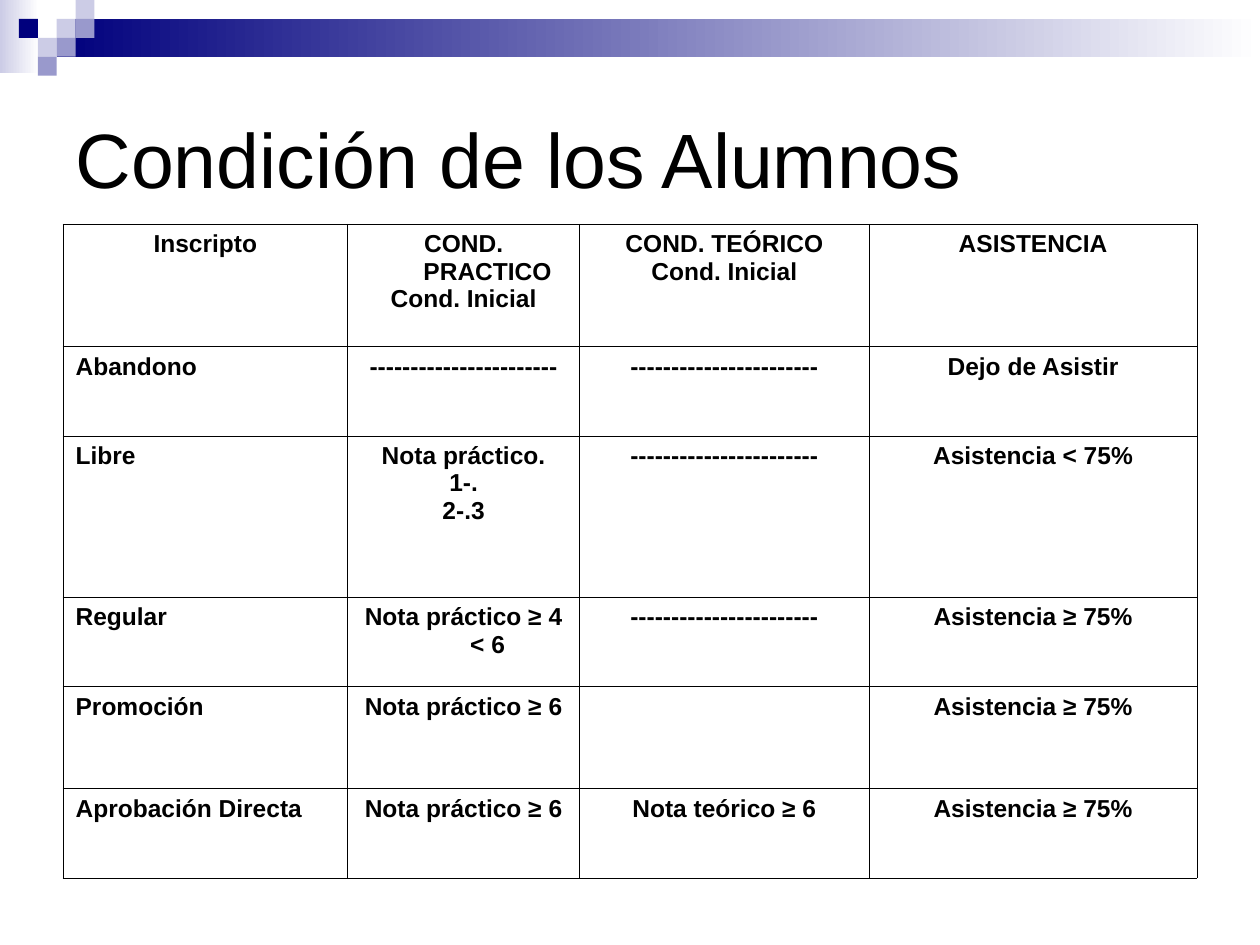
from lxml import etree
from pptx import Presentation
from pptx.dml.color import RGBColor
from pptx.enum.shapes import MSO_SHAPE
from pptx.enum.text import MSO_ANCHOR, PP_ALIGN
from pptx.oxml.ns import qn
from pptx.util import Inches, Pt

COLORS = {"navy": "00007D", "violet": "9999CC", "lilac": "CCCCE6",
          "white": "FFFFFF", "black": "000000"}
TITLE_FONT = {"name": "Arial", "size": Pt(44), "bold": False}
CELL_FONT = {"name": "Arial", "size": Pt(14), "bold": True}

SQUARE = 0.15
SQUARES = [(3, 1, "lilac"), (4, 0, "lilac"), (4, 1, "violet"), (2, 2, "lilac"),
           (1, 1, "navy"), (3, 2, "violet"), (2, 3, "violet")]

DASHES = "-" * 23
COLUMNS = [2.26, 1.84, 2.3, 2.6]
ROWS = [
    (0.97, ["Inscripto", "COND. PRACTICO\nCond. Inicial",
            "COND. TEÓRICO\nCond. Inicial", "ASISTENCIA"]),
    (0.71, ["Abandono", DASHES, DASHES, "Dejo de Asistir"]),
    (1.28, ["Libre", "Nota práctico.\n1-.\n2-.3", DASHES, "Asistencia < 75%"]),
    (0.71, ["Regular", "Nota práctico ≥ 4 < 6", DASHES, "Asistencia ≥ 75%"]),
    (0.81, ["Promoción", "Nota práctico ≥ 6", "", "Asistencia ≥ 75%"]),
    (0.71, ["Aprobación Directa", "Nota práctico ≥ 6", "Nota teórico ≥ 6",
            "Asistencia ≥ 75%"]),
]


def rgb(name):
    return RGBColor.from_string(COLORS[name])


def set_font(font, values):
    for key, value in values.items():
        setattr(font, key, value)
    font.color.rgb = rgb("black")


def add_block(s, left, top, width, height, color, fade=False):
    """Add a borderless rectangle, solid or fading to white."""
    sp = s.shapes.add_shape(MSO_SHAPE.RECTANGLE, Inches(left), Inches(top),
                            Inches(width), Inches(height))
    sp.shadow.inherit = False
    sp.line.fill.background()
    if fade:
        sp.fill.gradient()
        sp.fill.gradient_angle = 0
        for stop, name in zip(sp.fill.gradient_stops, (color, "white")):
            stop.color.rgb = rgb(name)
    else:
        sp.fill.solid()
        sp.fill.fore_color.rgb = rgb(color)


def add_banner(s, left, top, width):
    add_block(s, left, top, 0.31, 0.58, "lilac", fade=True)
    add_block(s, left + 3 * SQUARE, top + SQUARE, width - 3 * SQUARE,
              2 * SQUARE, "navy", fade=True)
    for col, row, color in SQUARES:
        add_block(s, left + col * SQUARE, top + row * SQUARE, SQUARE, SQUARE, color)


def add_title(s, left, top, width, height):
    title = s.shapes.title
    title.left, title.top = Inches(left), Inches(top)
    title.width, title.height = Inches(width), Inches(height)
    tf = title.text_frame
    tf.text = "Condición de los Alumnos"
    tf.vertical_anchor = MSO_ANCHOR.MIDDLE
    p = tf.paragraphs[0]
    p.alignment = PP_ALIGN.LEFT
    set_font(p.runs[0].font, TITLE_FONT)


def set_borders(cell):
    tc_pr = cell._tc.get_or_add_tcPr()
    for index, side in enumerate(("a:lnL", "a:lnR", "a:lnT", "a:lnB")):
        ln = etree.Element(qn(side), w=str(Pt(0.45)))
        fill = etree.SubElement(ln, qn("a:solidFill"))
        etree.SubElement(fill, qn("a:srgbClr"), val=COLORS["black"])
        tc_pr.insert(index, ln)


def fill_cell(cell, text, alignment):
    cell.fill.background()
    set_borders(cell)
    cell.text = text
    for p in cell.text_frame.paragraphs:
        p.alignment = alignment
        p_pr = p._p.get_or_add_pPr()
        p_pr.set("marL", str(Inches(0.38)))
        p_pr.set("indent", str(Inches(-0.38)))
        set_font(p.font, CELL_FONT)
        for r in p.runs:
            set_font(r.font, CELL_FONT)


def add_conditions(s, left, top):
    height = sum(h for h, _ in ROWS)
    table = s.shapes.add_table(len(ROWS), len(COLUMNS), Inches(left), Inches(top),
                               Inches(sum(COLUMNS)), Inches(height)).table
    table.first_row = table.horz_banding = False
    for column, width in zip(table.columns, COLUMNS):
        column.width = Inches(width)
    for i, (row_height, texts) in enumerate(ROWS):
        table.rows[i].height = Inches(row_height)
        for j, text in enumerate(texts):
            label = i > 0 and j == 0
            fill_cell(table.cell(i, j), text,
                      PP_ALIGN.LEFT if label else PP_ALIGN.CENTER)


def main():
    prs = Presentation()
    prs.slide_width, prs.slide_height = Inches(10), Inches(7.5)
    s = prs.slides.add_slide(prs.slide_layouts[5])
    add_banner(s, 0, 0, 10)
    add_title(s, 0.5, 0.5, 9, 1.5)
    add_conditions(s, 0.5, 1.78)
    prs.save("out.pptx")


if __name__ == "__main__":
    main()
